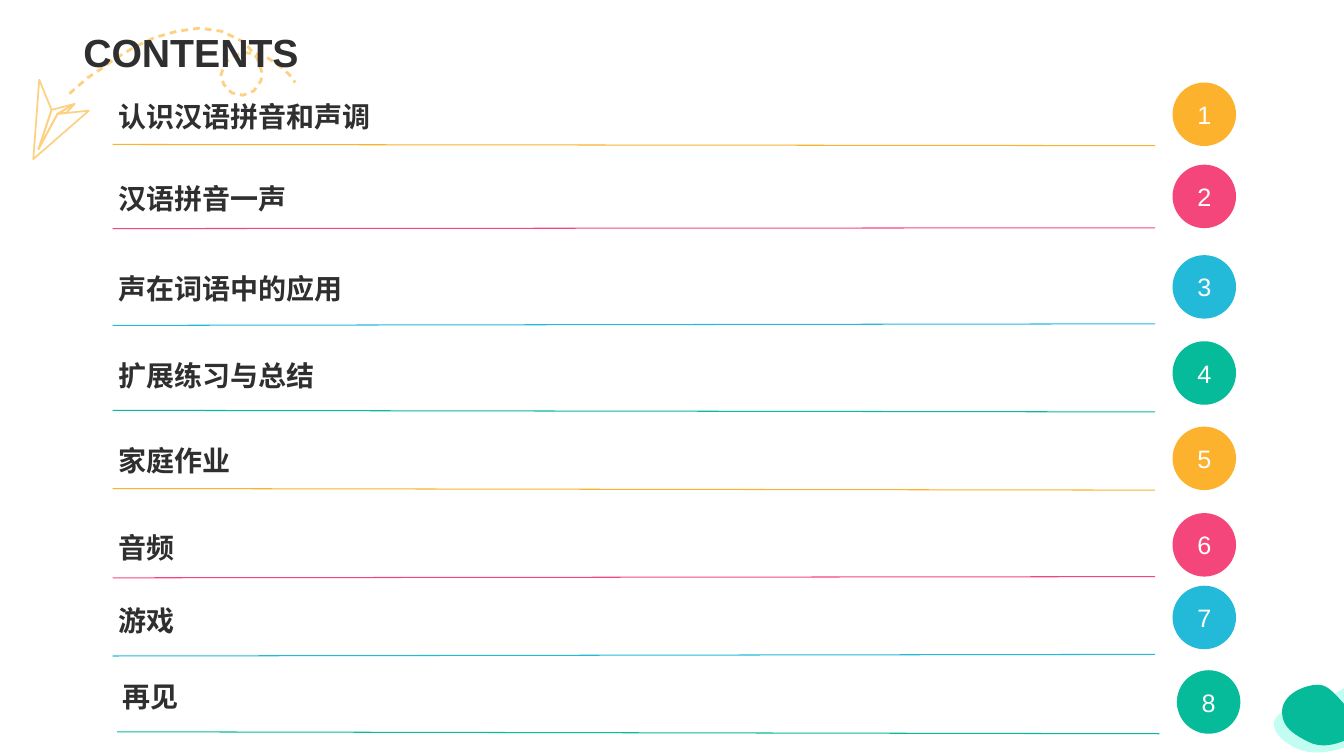
from itertools import cycle

from lxml import etree
from pptx import Presentation
from pptx.dml.color import RGBColor
from pptx.enum.shapes import MSO_CONNECTOR as Connector, MSO_SHAPE as Shape
from pptx.enum.text import MSO_ANCHOR as Anchor, PP_ALIGN as Align
from pptx.oxml.ns import qn
from pptx.util import Cm, Pt

WHITE = RGBColor(0xFF, 0xFF, 0xFF)
INK = RGBColor(0x2F, 0x2F, 0x2F)
SAND = RGBColor(0xFD, 0xD1, 0x81)
MINT = RGBColor(0xC2, 0xFD, 0xF2)
AMBER = RGBColor(0xFC, 0xB2, 0x2D)
PINK = RGBColor(0xF5, 0x46, 0x7B)
BLUE = RGBColor(0x23, 0xBA, 0xDA)
GREEN = RGBColor(0x06, 0xBB, 0x9A)

presentation = Presentation()
presentation.slide_width, presentation.slide_height = Cm(33.87), Cm(19.05)
slide = presentation.slides.add_slide(presentation.slide_layouts[6])


def add_outline(points, closed=True, fill=None, line=None, width=1.25):
    """Draw a freeform through points given in centimetres."""
    corners = [(Cm(x), Cm(y)) for x, y in points]
    builder = slide.shapes.build_freeform(*corners[0], scale=1.0)
    builder.add_line_segments(corners[1:], close=closed)
    shape = builder.convert_to_shape()
    shape.shadow.inherit = False
    if fill is None:
        shape.fill.background()
    else:
        shape.fill.solid()
        shape.fill.fore_color.rgb = fill
    if line is None:
        shape.line.fill.background()
    else:
        shape.line.color.rgb = line
        shape.line.width = Pt(width)
    return shape


def write_text(shape, text, size, color, font, bold=False, anchor=Anchor.BOTTOM):
    """Put one run of text into a shape and return its paragraph."""
    frame = shape.text_frame
    frame.word_wrap = True
    frame.vertical_anchor = anchor
    paragraph = frame.paragraphs[0]
    run = paragraph.add_run()
    run.text = text
    run.font.size = Pt(size)
    run.font.bold = bold
    run.font.name = font
    run.font.color.rgb = color
    east_asian = etree.SubElement(run.font._element, qn("a:ea"))
    east_asian.set("typeface", font)
    return paragraph


# Corner blobs: a start point, then cubic curves (control, control, end)
blobs = [
    (MINT, (32.13, 18.14), [
        ((32.0, 18.39), (32.36, 18.77), (32.84, 18.92)),
        ((33.32, 19.05), (34.16, 18.87), (34.44, 18.42)),
        ((34.65, 18.08), (34.67, 17.22), (34.24, 17.22)),
        ((33.83, 17.22), (33.53, 17.7), (33.1, 17.73)),
        ((32.69, 17.78), (32.31, 17.81), (32.13, 18.14))]),
    (GREEN, (34.16, 18.52), [
        ((34.26, 18.39), (34.29, 18.21), (33.91, 17.78)),
        ((33.53, 17.35), (33.4, 17.2), (33.05, 17.27)),
        ((32.66, 17.35), (32.33, 17.58), (32.31, 17.91)),
        ((32.31, 18.24), (32.46, 18.44), (32.97, 18.69)),
        ((33.45, 18.95), (34.04, 18.59), (34.16, 18.52))]),
]
STEPS = 12
for color, start, curves in blobs:
    points = [start]
    for control_1, control_2, end in curves:
        start = points[-1]
        for step in range(1, STEPS + 1):
            t = step / STEPS
            u = 1 - t
            points.append(tuple(
                u**3 * a + 3 * u * u * t * b + 3 * u * t * t * c + t**3 * d
                for a, b, c, d in zip(start, control_1, control_2, end)))
    add_outline(points, fill=color)

# Dashed flight trail
trail = add_outline([
    (1.75, 2.36), (2.21, 1.96), (2.62, 1.69), (2.87, 1.5), (3.38, 1.19),
    (3.89, 0.95), (4.45, 0.79), (5.03, 0.71), (5.59, 0.79), (6.17, 1.07),
    (6.48, 1.47), (6.59, 1.78), (6.58, 2.03), (6.4, 2.29), (6.12, 2.4),
    (5.84, 2.34), (5.64, 2.13), (5.57, 1.88), (5.69, 1.57), (5.92, 1.4),
    (6.2, 1.33), (6.5, 1.37), (6.76, 1.47), (7.04, 1.65), (7.29, 1.88),
    (7.44, 2.08)], closed=False, line=SAND, width=2)
dashes = etree.SubElement(trail.line._get_or_add_ln(), qn("a:custDash"))
etree.SubElement(dashes, qn("a:ds"), d="240000", sp="180000")

# Paper plane
nose, tail, notch, tip = (1.45, 2.87), (0.97, 3.76), (1.3, 2.77), (1.88, 2.62)
add_outline([nose, tail, notch, (0.99, 2.01), (0.84, 4.01), (2.24, 2.79)], line=SAND)
add_outline([tail, nose, tip, notch], line=SAND)
add_outline([nose, (1.68, 2.84), tip], line=SAND)

# Title
title = slide.shapes.add_textbox(Cm(1.85), Cm(-0.81), Cm(30.18), Cm(2.84))
write_text(title, "CONTENTS", 28, INK, "Arial", bold=True).line_spacing = 0.9

# Contents rows: text, text top, circle top, line start and end heights, shift
rows = [
    ("认识汉语拼音和声调", 2.36, 2.08, 3.64, 3.67, 0),
    ("汉语拼音一声", 4.44, 4.15, 5.76, 5.74, 0),
    ("声在词语中的应用", 6.71, 6.43, 8.2, 8.16, 0),
    ("扩展练习与总结", 8.89, 8.6, 10.34, 10.38, 0),
    ("家庭作业", 11.05, 10.75, 12.31, 12.35, 0),
    ("音频", 13.23, 12.93, 14.56, 14.53, 0),
    ("游戏", 15.06, 14.76, 16.53, 16.49, 0),
    ("再见", 16.99, 16.89, 18.44, 18.49, 0.11),
]
row_colors = cycle([AMBER, PINK, BLUE, GREEN])
for number, (row, color) in enumerate(zip(rows, row_colors), start=1):
    text, text_top, circle_top, line_start, line_end, shift = row

    label = slide.shapes.add_textbox(Cm(2.74 + shift), Cm(text_top), Cm(26.37), Cm(1.11))
    write_text(label, text, 20, INK, "Noto Sans CJK SC", bold=True)

    rule = slide.shapes.add_connector(
        Connector.STRAIGHT, Cm(2.84 + shift), Cm(line_start), Cm(29.11 + shift), Cm(line_end))
    rule.line.color.rgb = color
    rule.line.width = Pt(0.75)
    etree.SubElement(rule._element.spPr, qn("a:effectLst"))

    circle = slide.shapes.add_shape(
        Shape.OVAL, Cm(29.55 + shift), Cm(circle_top), Cm(1.6), Cm(1.6))
    circle.shadow.inherit = False
    circle.fill.solid()
    circle.fill.fore_color.rgb = color
    circle.line.fill.background()
    paragraph = write_text(circle, str(number), 18, WHITE, "Arial", anchor=Anchor.MIDDLE)
    paragraph.alignment = Align.CENTER

presentation.save("out.pptx")
